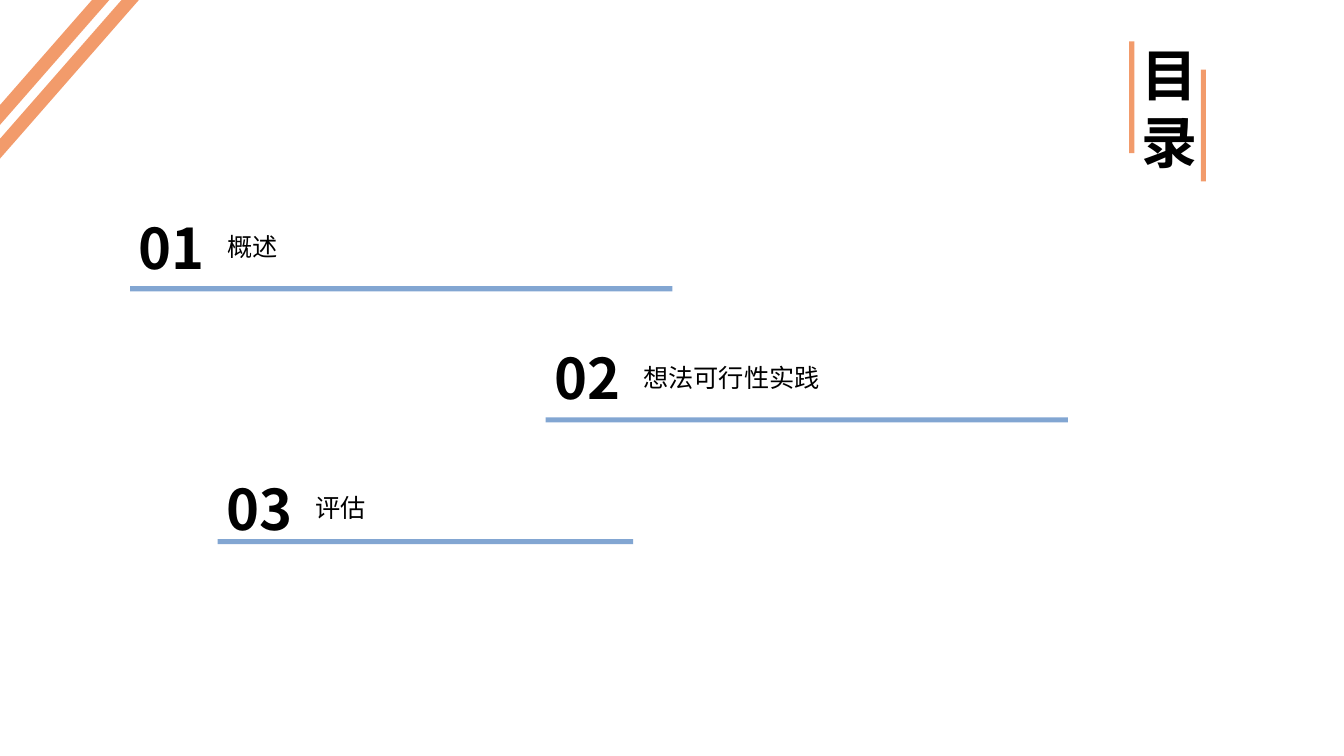
from dataclasses import dataclass

from lxml import etree
from pptx import Presentation
from pptx.dml.color import RGBColor
from pptx.enum.shapes import MSO_SHAPE
from pptx.enum.text import MSO_AUTO_SIZE
from pptx.oxml.ns import qn
from pptx.slide import Slide
from pptx.util import Inches, Pt

RECTANGLE = MSO_SHAPE.RECTANGLE
GROW = MSO_AUTO_SIZE.SHAPE_TO_FIT_TEXT

SLIDE_WIDTH, SLIDE_HEIGHT = 13.33, 7.5
COLUMN, ROW = SLIDE_WIDTH / 100, SLIDE_HEIGHT / 100
FONT = "Noto Sans CJK SC"
BLACK, ORANGE, BLUE = "000000", "ED6A23", "467BBD"
BAR_ALPHA = 67000
RULE_HEIGHT = 0.67
FIRST_ENTRY_ROW, ENTRY_STEP = 27.6, 17.25


@dataclass(frozen=True)
class Area:
    column: float
    row: float
    columns: float
    rows: float

    def lengths(self) -> tuple[int, int, int, int]:
        return (Inches(self.column * COLUMN), Inches(self.row * ROW),
                Inches(self.columns * COLUMN), Inches(self.rows * ROW))


@dataclass(frozen=True)
class Bar:
    area: Area
    color: str
    rotation: float = 0


@dataclass(frozen=True)
class Entry:
    label: str
    column: float
    rule_row: float
    rule_columns: float


DECORATIONS = [
    Bar(Area(-3.9, 9.07, 17.4, 1.73), ORANGE, 311.2),
    Bar(Area(-5.18, 7.2, 17.4, 1.73), ORANGE, 311.2),
    Bar(Area(84.02, 5.47, 0.38, 14.8), ORANGE),
    Bar(Area(89.35, 9.2, 0.38, 14.8), ORANGE),
]
ENTRIES = [
    Entry("概述", 9.68, 37.87, 40.36),
    Entry("想法可行性实践", 40.59, 55.2, 38.86),
    Entry("评估", 16.2, 71.33, 30.91),
]


def rgb(color: str) -> RGBColor:
    return RGBColor.from_string(color)


def draw_bar(slide: Slide, bar: Bar) -> None:
    shape = slide.shapes.add_shape(RECTANGLE, *bar.area.lengths())
    shape.rotation = bar.rotation
    shape.shadow.inherit = False
    shape.line.fill.background()
    shape.fill.solid()
    shape.fill.fore_color.rgb = rgb(bar.color)
    color = shape._element.spPr.find(qn("a:solidFill")).find(qn("a:srgbClr"))
    etree.SubElement(color, qn("a:alpha")).set("val", str(BAR_ALPHA))


def draw_text(slide: Slide, text: str, area: Area, size: float, bold: bool) -> None:
    text_frame = slide.shapes.add_textbox(*area.lengths()).text_frame
    text_frame.word_wrap = True
    text_frame.auto_size = GROW
    text_frame.text = text
    run = text_frame.paragraphs[0].runs[0]
    run.font.size = Pt(size)
    run.font.bold = bold
    run.font.color.rgb = rgb(BLACK)
    run.font.name = FONT
    properties = run._r.get_or_add_rPr()
    etree.SubElement(properties, qn("a:ea")).set("typeface", FONT)


def draw_entry(slide: Slide, index: int, entry: Entry) -> None:
    row = FIRST_ENTRY_ROW + index * ENTRY_STEP
    label_columns = 1.88 * len(entry.label) + 2.2
    draw_text(slide, f"{index + 1:02}", Area(entry.column - 0.1, row, 8.2, 10.27), 40, True)
    draw_text(slide, entry.label, Area(entry.column + 6.53, row + 2.4, label_columns, 5.33), 18, False)
    draw_bar(slide, Bar(Area(entry.column, entry.rule_row, entry.rule_columns, RULE_HEIGHT), BLUE))


def main() -> None:
    presentation = Presentation()
    presentation.slide_width = Inches(SLIDE_WIDTH)
    presentation.slide_height = Inches(SLIDE_HEIGHT)
    slide = presentation.slides.add_slide(presentation.slide_layouts[6])
    for bar in DECORATIONS:
        draw_bar(slide, bar)
    draw_text(slide, "目录", Area(84.17, 4.67, 4.95, 19.33), 40, True)
    for index, entry in enumerate(ENTRIES):
        draw_entry(slide, index, entry)
    presentation.save("out.pptx")


if __name__ == "__main__":
    main()
